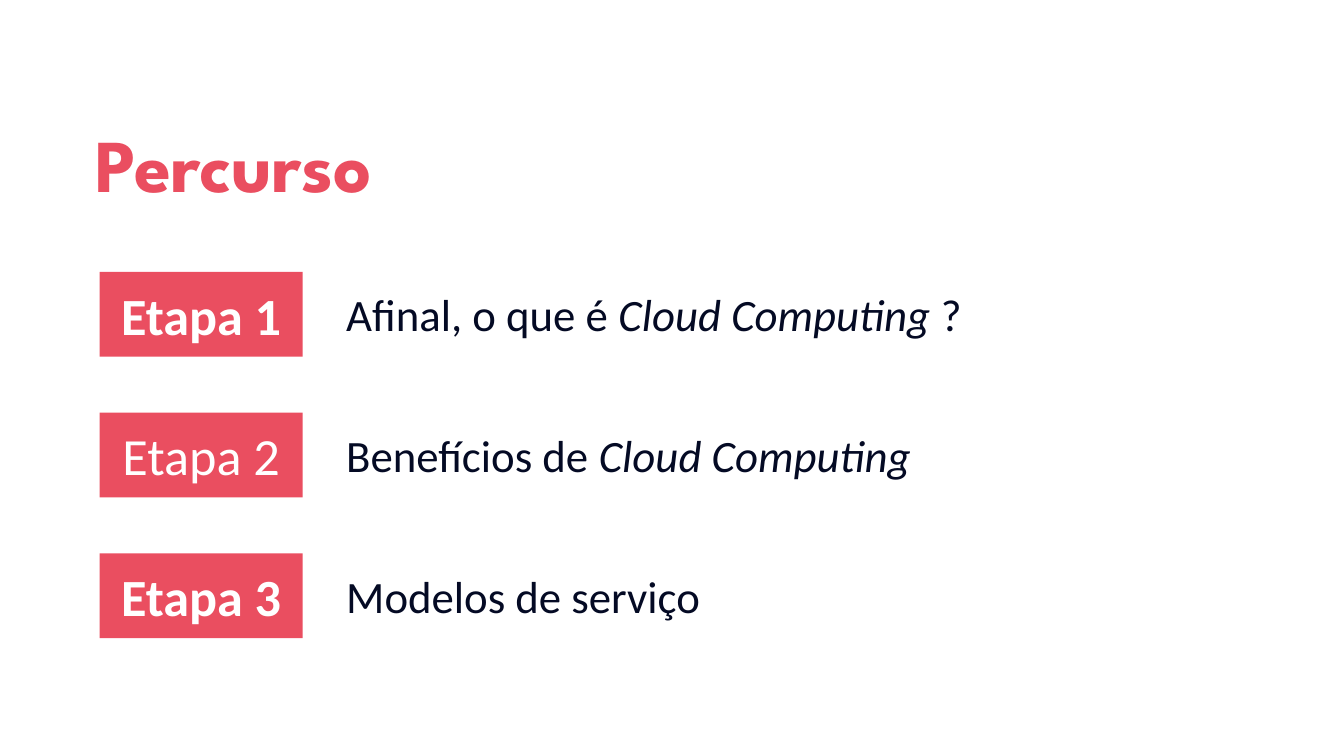
from pptx import Presentation
from pptx.dml.color import RGBColor
from pptx.enum.shapes import MSO_SHAPE
from pptx.enum.text import MSO_ANCHOR, PP_ALIGN
from pptx.util import Pt

RECTANGLE = MSO_SHAPE.RECTANGLE
MIDDLE, TOP = MSO_ANCHOR.MIDDLE, MSO_ANCHOR.TOP
CENTER = PP_ALIGN.CENTER
COLORS = {"accent": "EA4E60", "ink": "040A24", "white": "FFFFFF"}
TITLE_FONT, BODY_FONT = "League Spartan", "Calibri"

STEPS = [
    ("Etapa 1", True, [("Afinal, o que é ", False), ("Cloud Computing", True), (" ?", False)]),
    ("Etapa 2", False, [("Benefícios de ", False), ("Cloud Computing", True)]),
    ("Etapa 3", True, [("Modelos de serviço", False)]),
]
STEP_PITCH = 100.5
STEP_HEIGHT = 60.5


def color(name):
    return RGBColor.from_string(COLORS[name])


def set_frame(frame, anchor, side, edge):
    frame.word_wrap = True
    frame.vertical_anchor = anchor
    frame.margin_left = frame.margin_right = Pt(side)
    frame.margin_top = frame.margin_bottom = Pt(edge)


def style_span(span, name, size, tint, bold=False, italic=False):
    font = span.font
    font.name, font.size = name, Pt(size)
    font.bold, font.italic = bold, italic
    font.color.rgb = color(tint)


def add_title(page, box, text):
    title = page.shapes.add_textbox(*map(Pt, box))
    set_frame(title.text_frame, MIDDLE, 9.6, 9.6)
    para = title.text_frame.paragraphs[0]
    para.text = text
    para.line_spacing = 1.15
    style_span(para.runs[0], TITLE_FONT, 53.3, "accent", bold=True)


def add_step(page, box, label, bold, parts):
    left, top, width, height = box
    badge_width, gap, inset = 145, 21.5, 6
    badge = page.shapes.add_shape(RECTANGLE, Pt(left), Pt(top), Pt(badge_width), Pt(height))
    badge.shadow.inherit = False
    badge.fill.solid()
    badge.fill.fore_color.rgb = color("accent")
    badge.line.fill.background()
    set_frame(badge.text_frame, MIDDLE, 9.6, 9.6)
    para = badge.text_frame.paragraphs[0]
    para.text = label
    para.alignment = CENTER
    style_span(para.runs[0], BODY_FONT, 37.3, "white", bold=bold)

    topic_left = badge_width + gap
    topic = page.shapes.add_textbox(
        Pt(left + topic_left), Pt(top + inset), Pt(width - topic_left), Pt(height - 2 * inset)
    )
    set_frame(topic.text_frame, TOP, 9.6, 4.8)
    for text, italic in parts:
        span = topic.text_frame.paragraphs[0].add_run()
        span.text = text
        style_span(span, BODY_FONT, 32, "ink", italic=italic)


def add_route(page, box, steps):
    left, top, width = box
    for index, step in enumerate(steps):
        add_step(page, (left, top + index * STEP_PITCH, width, STEP_HEIGHT), *step)


deck = Presentation()
deck.slide_width, deck.slide_height = Pt(960), Pt(540)
page = deck.slides.add_slide(deck.slide_layouts[6])
add_title(page, (59, 67, 778, 88.5), "Percurso")
add_route(page, (71.2, 194.3, 814.5), STEPS)
deck.save("out.pptx")
